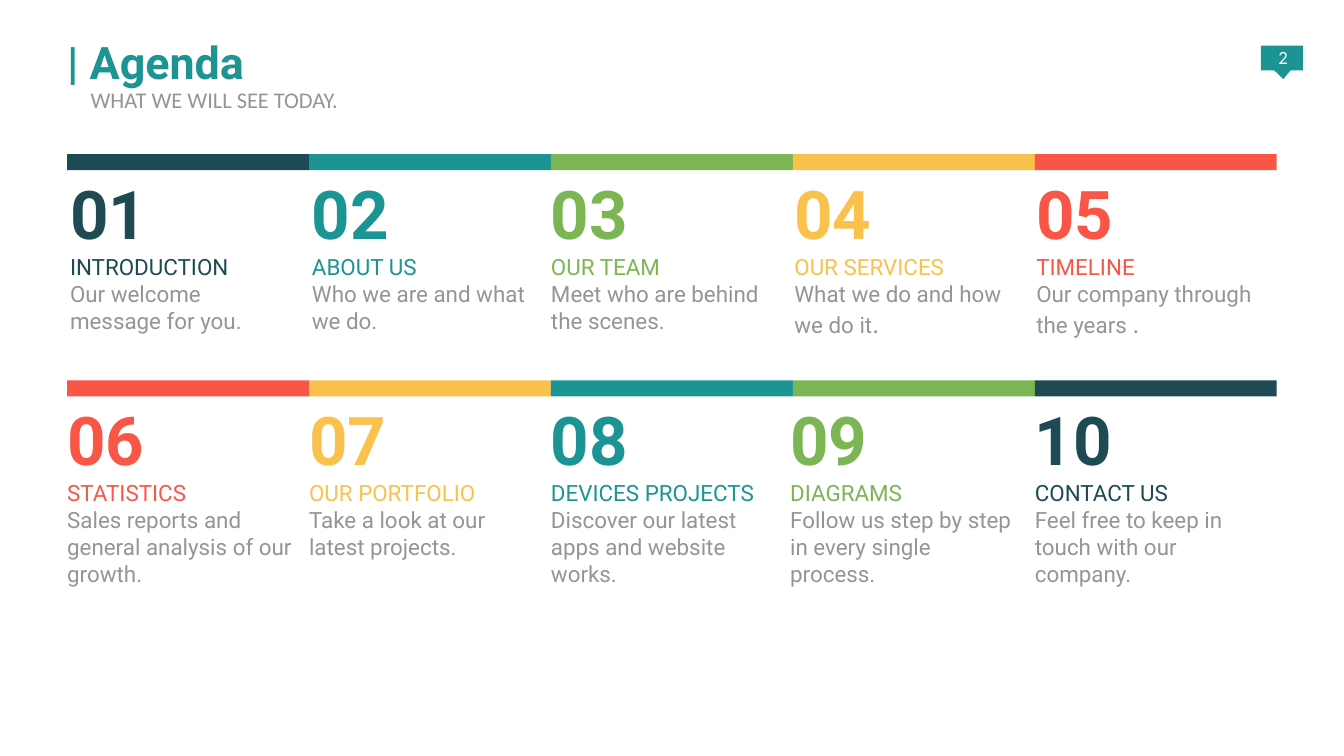
from pptx import Presentation
from pptx.dml.color import RGBColor
from pptx.enum.shapes import MSO_SHAPE as Shape
from pptx.enum.text import MSO_ANCHOR as Anchor, MSO_AUTO_SIZE as AutoSize, PP_ALIGN as Align
from pptx.util import Pt

NAVY, TEAL, GREEN, YELLOW, RED = "1D4A53", "1C9494", "7CB554", "FAC14D", "F95647"
GRAY, WHITE = "959596", "FFFFFF"


def fill_shape(slide, kind, left, top, width, height, color):
    shape = slide.shapes.add_shape(kind, Pt(left), Pt(top), Pt(width), Pt(height))
    shape.shadow.inherit = False
    shape.fill.solid()
    shape.fill.fore_color.rgb = RGBColor.from_string(color)
    shape.line.fill.background()
    return shape


def write_text(shape, box, lines, align=Align.LEFT, anchor=Anchor.TOP, right=7.2, bottom=0):
    """Place a text shape; each line is (text, font, size, color, bold)."""
    shape.left, shape.top, shape.width, shape.height = [Pt(value) for value in box]
    frame = shape.text_frame
    frame.word_wrap = True
    frame.auto_size = AutoSize.NONE
    frame.vertical_anchor = anchor
    frame.margin_left = frame.margin_top = 0
    frame.margin_right, frame.margin_bottom = Pt(right), Pt(bottom)
    frame.text = "\n".join(line[0] for line in lines)
    for paragraph, (_, font, size, color, bold) in zip(frame.paragraphs, lines):
        paragraph.alignment = align
        paragraph.space_before = Pt(0)
        for run in paragraph.runs:
            run.font.name, run.font.size, run.font.bold = font, Pt(size), bold
            run.font.color.rgb = RGBColor.from_string(color)


presentation = Presentation()
presentation.slide_width, presentation.slide_height = Pt(720), Pt(405)
slide = presentation.slides.add_slide(presentation.slide_layouts[0])

# Title and subtitle
title, subtitle = slide.placeholders
write_text(title, (36, 18.7, 611, 28.8), [("| Agenda", "Roboto", 24, TEAL, True)])
write_text(subtitle, (48.5, 46, 599, 28.8),
           [("WHAT WE WILL SEE TODAY.", "Calibri", 12, GRAY, False)])

# Page number tag
fill_shape(slide, Shape.RECTANGLE, 675.4, 24.5, 22.6, 13.2, TEAL)
pointer = fill_shape(slide, Shape.ISOSCELES_TRIANGLE, 676, 30.2, 22.3, 12.2, TEAL)
pointer.rotation = 176.8
page_number = slide.shapes.add_textbox(0, 0, 0, 0)
write_text(page_number, (676.8, 21.6, 21, 21.6), [("2", "Calibri", 10, WHITE, False)],
           Align.CENTER, Anchor.MIDDLE, right=0, bottom=3.6)

# Agenda rows: bar top, text height, then (color, heading, description, text offset)
rows = [
    (82.6, 107.3, [
        (NAVY, "INTRODUCTION", "Our welcome\nmessage for you.", 1.5),
        (TEAL, "ABOUT US", "Who we are and what we do.", 1.5),
        (GREEN, "OUR TEAM", "Meet who are behind the scenes.", 0),
        (YELLOW, "OUR SERVICES", "What we do and how we do it.", 0.8),
        (RED, "TIMELINE", "Our company through the years .", 0.8),
    ]),
    (203.8, 125.3, [
        (RED, "STATISTICS", "Sales reports and general analysis of our growth.", 0),
        (YELLOW, "OUR PORTFOLIO", "Take a look at our latest projects.", 0),
        (TEAL, "DEVICES PROJECTS", "Discover our latest apps and website works.", 0),
        (GREEN, "DIAGRAMS", "Follow us step by step in every single process.", -1.5),
        (NAVY, "CONTACT US", "Feel free to keep in touch with our company.", 0),
    ]),
]
large_stops = ("OUR SERVICES", "TIMELINE")
column_width = 129.6
number = 0
for top, text_height, items in rows:
    for column, (color, heading, description, offset) in enumerate(items):
        number += 1
        left = 36 + column * column_width
        fill_shape(slide, Shape.RECTANGLE, left, top, column_width, 8.6, color)
        lines = [(f"{number:02}", "Roboto", 36, color, True),
                 (heading, "Roboto", 12, color, False)]
        lines += [(part, "Roboto", 12, GRAY, False) for part in description.split("\n")]
        item = slide.shapes.add_textbox(0, 0, 0, 0)
        write_text(item, (left + offset, top + 9.8, column_width - offset, text_height), lines)

        # Some descriptions end in a larger full stop
        if heading in large_stops:
            paragraph = item.text_frame.paragraphs[-1]
            paragraph.runs[0].text = description[:-1]
            stop = paragraph.add_run()
            stop.text = "."
            stop.font.name, stop.font.size = "Roboto", Pt(14)
            stop.font.color.rgb = RGBColor.from_string(GRAY)

presentation.save("out.pptx")
